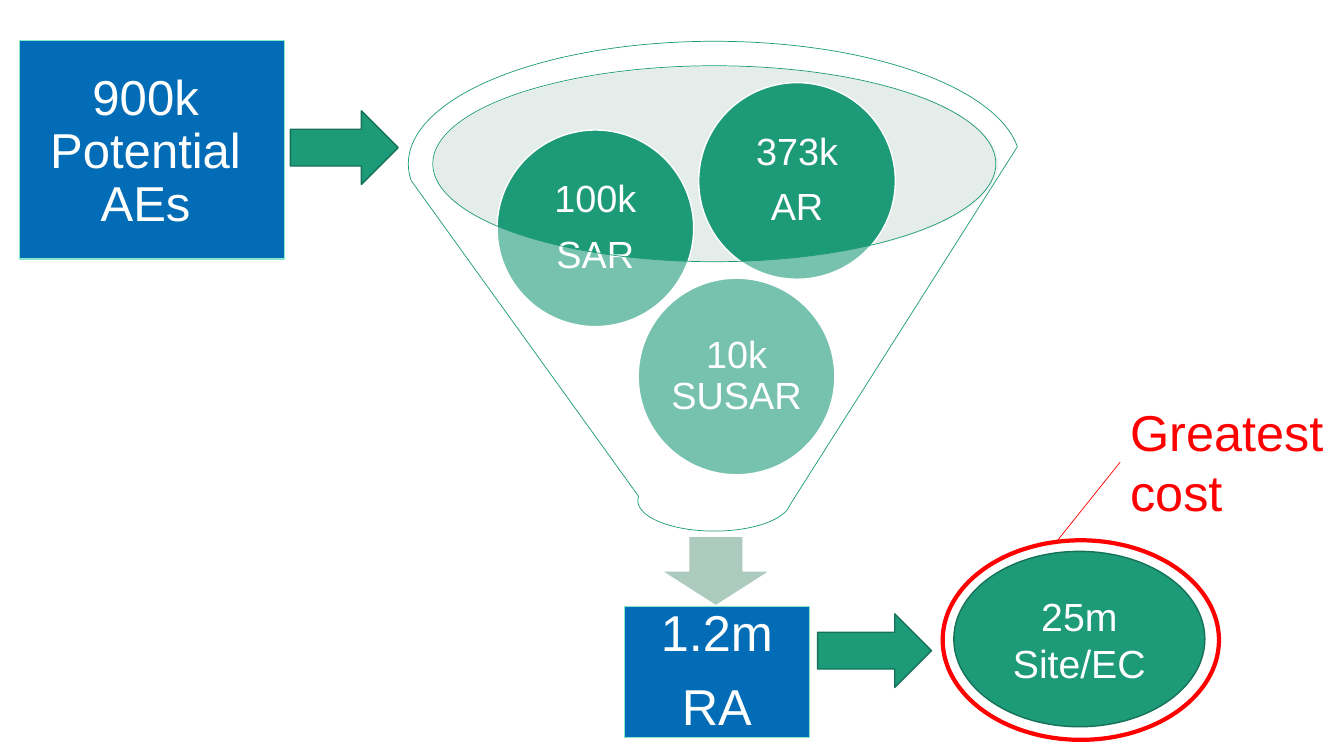
from lxml import etree
from pptx import Presentation
from pptx.dml.color import RGBColor
from pptx.enum import shapes as sh, text as tx
from pptx.oxml.ns import qn
from pptx.util import Inches, Pt

KIND = sh.MSO_SHAPE
GREEN, DARK, BLUE, MINT = "1D9A78", "157259", "026CB6", "83E8CC"
WHITE, RED = "FFFFFF", "FF0000"


def color(code):
    return RGBColor.from_string(code)


def draw(slide, kind, box, fill, line=None, width=1, alpha=None):
    """Add a preset shape; alpha is the opacity in percent."""
    shape = slide.shapes.add_shape(kind, *map(Inches, box))
    shape.shadow.inherit = False
    shape.fill.solid()
    shape.fill.fore_color.rgb = color(fill)
    if alpha:
        tone = shape.fill._xPr.find(qn("a:solidFill"))[0]
        etree.SubElement(tone, qn("a:alpha"), val=str(alpha * 1000))
    if line:
        shape.line.color.rgb = color(line)
        shape.line.width = Pt(width)
    else:
        shape.line.fill.background()
    return shape


def write(shape, lines, size, ins=(0.1, 0.05, 0.1, 0.05), tight=True,
          ink=WHITE, align=tx.PP_ALIGN.CENTER, anchor=tx.MSO_ANCHOR.MIDDLE):
    """Fill a shape with paragraphs; ins is left, top, right, bottom."""
    frame = shape.text_frame
    frame.word_wrap = True
    frame.vertical_anchor = anchor
    (frame.margin_left, frame.margin_top,
     frame.margin_right, frame.margin_bottom) = map(Inches, ins)
    frame.text = "\n".join(lines)
    for para in frame.paragraphs:
        para.alignment = align
        if tight:
            para.line_spacing = 0.9
            para.space_after = Pt(round(size * 0.39, 1))
        para.font.size = Pt(size)
        para.font.name = "Arial"
        para.font.color.rgb = color(ink)


def ball(slide, left, top, lines):
    shape = draw(slide, KIND.OVAL, (left, top, 1.95, 1.95), GREEN, WHITE)
    write(shape, lines, 27, (0.04,) * 4)


def arrow(slide, left, top, width):
    draw(slide, KIND.RIGHT_ARROW, (left, top, width, 0.73), GREEN, DARK)


def pointer(slide, label, end):
    """Draw a thin red line from the left side of the label."""
    line = slide.shapes.add_connector(
        sh.MSO_CONNECTOR.STRAIGHT, label.left, label.top, *map(Inches, end))
    line.begin_connect(label, 1)
    line.line.color.rgb = color(RED)
    line.line.width = Pt(0.5)
    etree.SubElement(line._element.spPr, qn("a:effectLst"))


def main():
    prs = Presentation()
    prs.slide_width, prs.slide_height = Inches(13.33), Inches(7.5)
    slide = prs.slides.add_slide(prs.slide_layouts[6])

    # Red ring behind the site costs
    draw(slide, KIND.OVAL, (9.35, 5.36, 2.74, 1.98), WHITE, RED, 3)

    # Funnel with its mouth, outlet and contents
    draw(slide, KIND.OVAL, (4.3, 0.66, 5.6, 1.94), "BDD4CA", alpha=40)
    draw(slide, KIND.DOWN_ARROW, (6.56, 5.32, 1.08, 0.69), "ACCABE", WHITE)
    result = draw(slide, KIND.RECTANGLE, (6.19, 6.02, 1.84, 1.3),
                  BLUE, MINT, 0.75)
    write(result, ["1.2m", "RA"], 36, (0.28,) * 4)
    ball(slide, 6.33, 2.76, ["10k SUSAR"])
    ball(slide, 4.93, 1.29, ["100k", "SAR"])
    ball(slide, 6.93, 0.82, ["373k", "AR"])
    draw(slide, KIND.FUNNEL, (4.05, 0.41, 6.07, 4.86),
         WHITE, GREEN, 0.5, alpha=40)

    # Site costs
    site = draw(slide, KIND.OVAL, (9.46, 5.47, 2.49, 1.74), GREEN, DARK)
    write(site, ["25m", "Site/EC"], 28, tight=False)

    # Input events and flow arrows
    arrow(slide, 2.88, 1.1, 1.07)
    events = draw(slide, KIND.RECTANGLE, (0.19, 0.4, 2.63, 2.17),
                  BLUE, MINT, 0.75)
    write(events, ["900k Potential AEs"], 35, (0.21, 0.58, 0.33, 0.52))
    arrow(slide, 8.11, 6.09, 1.13)

    # Red label and its pointer
    label = slide.shapes.add_textbox(
        *map(Inches, (11.11, 3.93, 2.23, 1.31)))
    write(label, ["Greatest cost"], 36, tight=False, ink=RED,
          align=tx.PP_ALIGN.LEFT, anchor=tx.MSO_ANCHOR.TOP)
    label.text_frame.auto_size = tx.MSO_AUTO_SIZE.SHAPE_TO_FIT_TEXT
    pointer(slide, label, (10.49, 5.36))

    prs.save("out.pptx")


if __name__ == "__main__":
    main()
